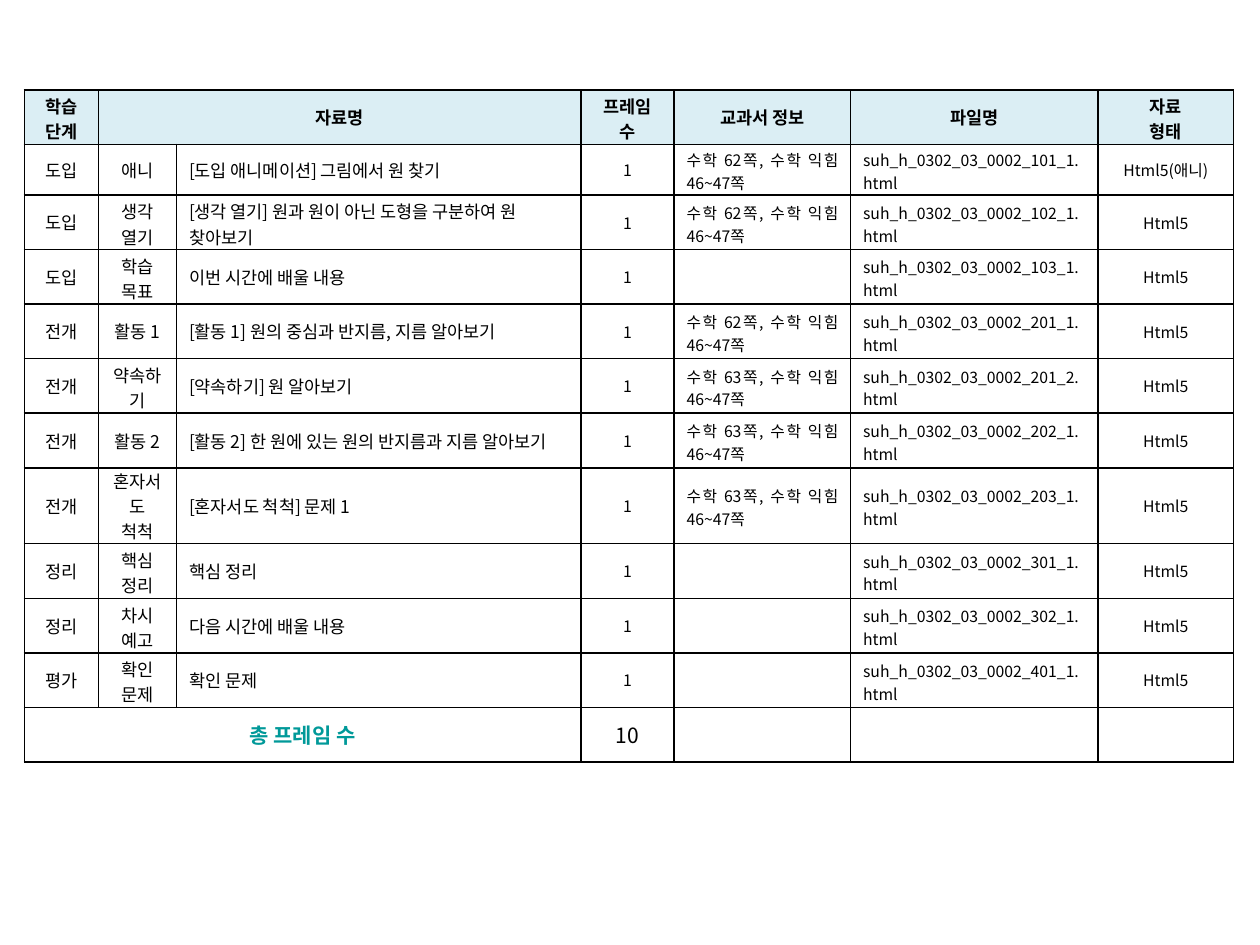
from lxml import etree
from pptx import Presentation
from pptx.dml.color import RGBColor
from pptx.enum.text import MSO_ANCHOR, PP_ALIGN
from pptx.oxml.ns import qn
from pptx.util import Cm, Pt

LEFT, CENTER, JUSTIFY = PP_ALIGN.LEFT, PP_ALIGN.CENTER, PP_ALIGN.JUSTIFY
MIDDLE = MSO_ANCHOR.MIDDLE

COLORS = {"text": "000000", "border": "000000", "header": "DBEEF4", "total": "009999"}
FONT = "Noto Sans CJK KR"

COLUMN_WIDTHS = [1.5, 1.57, 8.15, 1.88, 3.56, 4.98, 2.74]
COLUMN_ALIGNMENTS = [CENTER, CENTER, LEFT, CENTER, JUSTIFY, JUSTIFY, CENTER]
COLUMN_SIZES = [10, 10, 10, 9, 9, 9, 9]
ROW_HEIGHT = 1.1
SPECIAL_HEIGHTS = {1: 1.02, 7: 1.53}

SIDE_INSET = 0.25
ONE_LINE_INSETS = (0.1, 0.1)
TWO_LINE_INSETS = (0.07, 0)
THREE_LINE_INSETS = (0, 0)
NARROW_SIDE_INSETS = {"프레임 수": 0.4, "혼자서도 척척": 0.27}
ONE_LINE_TEXTS = {"애니", "활동 1", "활동 2"}

HEADERS = ["학습 단계", "자료명", "", "프레임 수", "교과서 정보", "파일명", "자료\n형태"]
TWO_LINE_HEADERS = {"학습 단계", "프레임 수", "자료\n형태"}
LESSONS = [
    ("도입", "애니", "[도입 애니메이션] 그림에서 원 찾기", 62, "101_1"),
    ("도입", "생각 열기", "[생각 열기] 원과 원이 아닌 도형을 구분하여 원 찾아보기", 62, "102_1"),
    ("도입", "학습 목표", "이번 시간에 배울 내용", None, "103_1"),
    ("전개", "활동 1", "[활동 1] 원의 중심과 반지름, 지름 알아보기", 62, "201_1"),
    ("전개", "약속하기", "[약속하기] 원 알아보기", 63, "201_2"),
    ("전개", "활동 2", "[활동 2] 한 원에 있는 원의 반지름과 지름 알아보기", 63, "202_1"),
    ("전개", "혼자서도 척척", "[혼자서도 척척] 문제 1", 63, "203_1"),
    ("정리", "핵심 정리", "핵심 정리", None, "301_1"),
    ("정리", "차시 예고", "다음 시간에 배울 내용", None, "302_1"),
    ("평가", "확인 문제", "확인 문제", None, "401_1"),
]


class SlideBuilder:
    def __init__(self, slide, font, colors):
        self.slide = slide
        self.font = font
        self.colors = colors

    def color(self, name):
        return RGBColor.from_string(self.colors[name])

    def table(self, left, top, widths, heights):
        shape = self.slide.shapes.add_table(
            len(heights), len(widths), Cm(left), Cm(top), Cm(sum(widths)), Cm(sum(heights))
        )
        table = shape.table
        table.first_row = False
        table.horz_banding = False
        for column, width in zip(table.columns, widths):
            column.width = Cm(width)
        for row, height in zip(table.rows, heights):
            row.height = Cm(height)
        return table

    def border(self, cell):
        properties = cell._tc.get_or_add_tcPr()
        for position, side in enumerate(("lnL", "lnR", "lnT", "lnB")):
            line = etree.Element(qn(f"a:{side}"), w=str(Pt(1)))
            fill = etree.SubElement(line, qn("a:solidFill"))
            etree.SubElement(fill, qn("a:srgbClr"), val=self.colors["border"])
            properties.insert(position, line)

    def cell(self, cell, text, size, alignment, bold=False, color="text", fill=None,
             insets=ONE_LINE_INSETS):
        cell.vertical_anchor = MIDDLE
        cell.margin_top, cell.margin_bottom = (Cm(inset) for inset in insets)
        cell.margin_left = cell.margin_right = Cm(NARROW_SIDE_INSETS.get(text, SIDE_INSET))
        if fill:
            cell.fill.solid()
            cell.fill.fore_color.rgb = self.color(fill)
        else:
            cell.fill.background()
        self.border(cell)
        cell.text_frame.text = text
        for paragraph in cell.text_frame.paragraphs:
            paragraph.alignment = alignment
            for run in paragraph.runs:
                run.font.name = self.font
                run.font.size = Pt(size)
                run.font.bold = bold
                run.font.color.rgb = self.color(color)
                latin = run._r.get_or_add_rPr().find(qn("a:latin"))
                latin.addnext(etree.Element(qn("a:ea"), typeface=self.font))
            if not paragraph.runs:
                etree.SubElement(paragraph._p, qn("a:endParaRPr"), sz=str(size * 100))


def lesson_values(stage, activity, title, page, file_code):
    textbook = f"수학 {page}쪽, 수학 익힘 46~47쪽" if page else ""
    file_name = f"suh_h_0302_03_0002_{file_code}.html"
    file_type = "Html5(애니)" if activity == "애니" else "Html5"
    return [stage, activity, title, "1", textbook, file_name, file_type]


def lesson_insets(column, value):
    if value == "혼자서도 척척":
        return THREE_LINE_INSETS
    wraps = column in (1, 4, 5) and value not in ONE_LINE_TEXTS
    if wraps or value.startswith("[생각 열기]"):
        return TWO_LINE_INSETS
    return ONE_LINE_INSETS


def main():
    presentation = Presentation()
    presentation.slide_width = Cm(25.4)
    presentation.slide_height = Cm(19.05)
    slide = presentation.slides.add_slide(presentation.slide_layouts[6])
    builder = SlideBuilder(slide, FONT, COLORS)

    total_row = len(LESSONS) + 1
    heights = [SPECIAL_HEIGHTS.get(row, ROW_HEIGHT) for row in range(total_row + 1)]
    table = builder.table(0.49, 1.81, COLUMN_WIDTHS, heights)

    for column, header in enumerate(HEADERS):
        insets = TWO_LINE_INSETS if header in TWO_LINE_HEADERS else ONE_LINE_INSETS
        builder.cell(
            table.cell(0, column), header, 10, CENTER, bold=True, fill="header", insets=insets
        )
    for row, lesson in enumerate(LESSONS, start=1):
        for column, value in enumerate(lesson_values(*lesson)):
            builder.cell(
                table.cell(row, column), value, COLUMN_SIZES[column], COLUMN_ALIGNMENTS[column],
                insets=lesson_insets(column, value),
            )
    totals = ["총 프레임 수", "", "", str(len(LESSONS)), "", "", ""]
    for column, value in enumerate(totals):
        is_label = column == 0
        builder.cell(
            table.cell(total_row, column), value, 12, CENTER,
            bold=is_label, color="total" if is_label else "text",
        )

    table.cell(0, 1).merge(table.cell(0, 2))
    table.cell(total_row, 0).merge(table.cell(total_row, 2))
    presentation.save("out.pptx")


if __name__ == "__main__":
    main()
